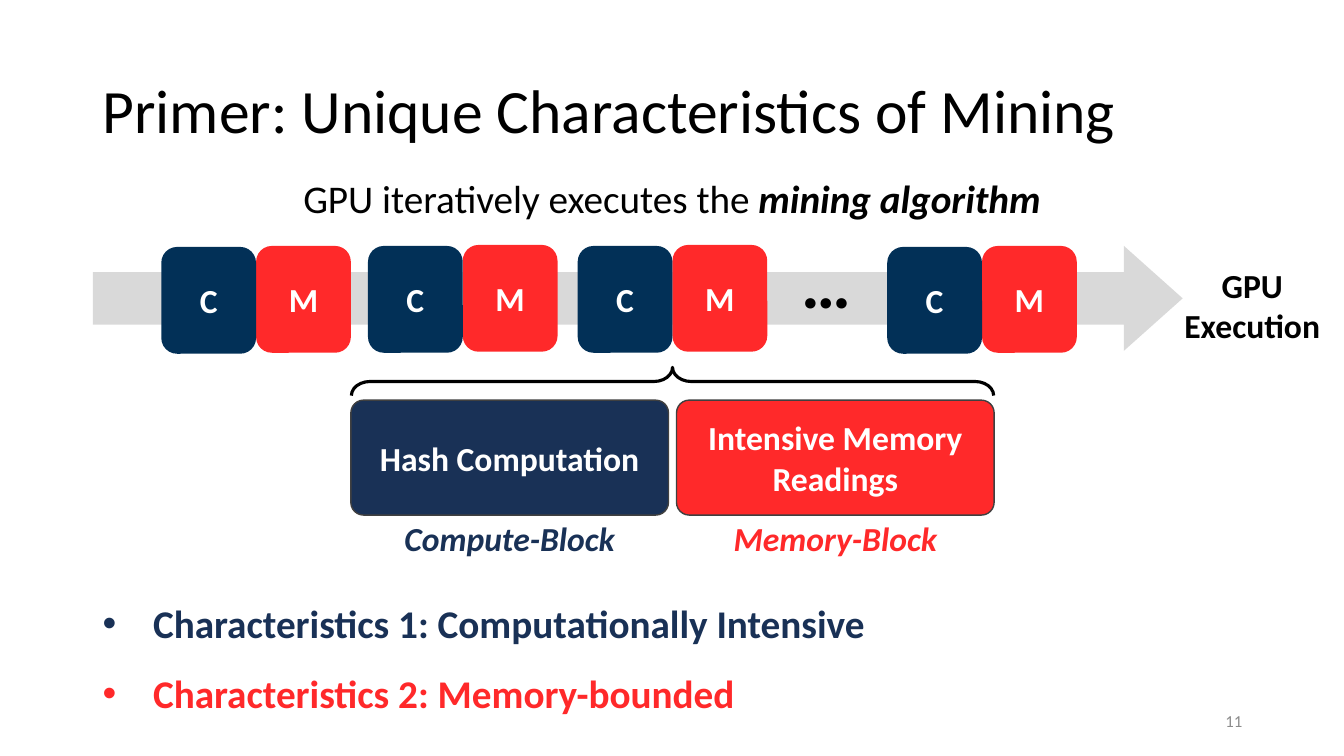
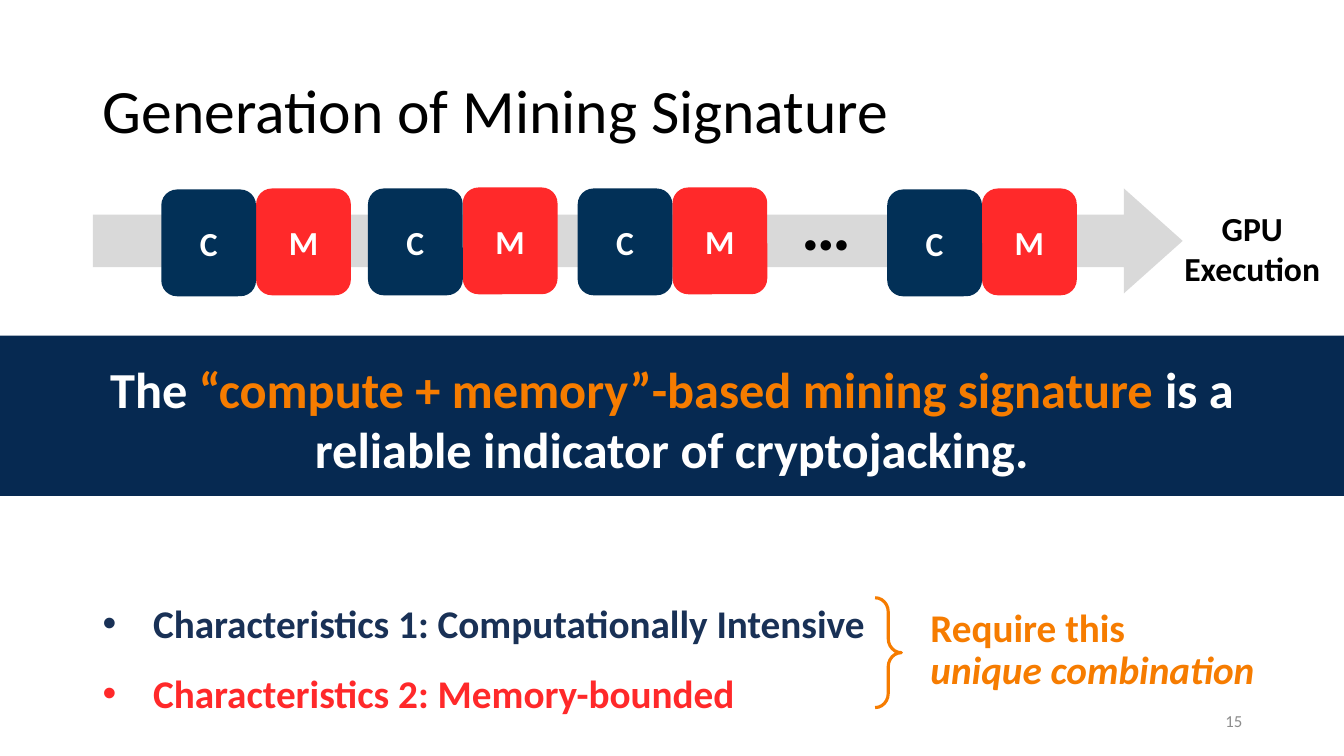
from lxml import etree
from pptx import Presentation
from pptx.dml.color import RGBColor
from pptx.enum.shapes import MSO_SHAPE as Shape
from pptx.enum.text import MSO_ANCHOR as Anchor, PP_ALIGN as Align
from pptx.oxml.ns import qn
from pptx.util import Inches, Pt

WIDE, HIGH = 13.33, 7.5
FONT = "Calibri"
BLACK = RGBColor(0x00, 0x00, 0x00)
WHITE = RGBColor(0xFF, 0xFF, 0xFF)
GREY = RGBColor(0x8C, 0x8C, 0x8C)
PALE = RGBColor(0xD9, 0xD9, 0xD9)
EDGE = RGBColor(0x40, 0x40, 0x40)
NAVY = RGBColor(0x19, 0x31, 0x56)
BLUE = RGBColor(0x02, 0x30, 0x57)
BAND = RGBColor(0x06, 0x29, 0x51)
RED = RGBColor(0xFF, 0x29, 0x2A)
ORANGE = RGBColor(0xF6, 0x7C, 0x00)

# Content: a paragraph is a list of runs (text, colour, style letters)
TRAITS = [
    [("Characteristics 1: Computationally Intensive", NAVY, "b")],
    [("Characteristics 2: Memory-bounded", RED, "b")],
]
LEAD = [[("GPU iteratively executes the ", BLACK, ""),
         ("mining algorithm", BLACK, "bi")]]
PARTS = [
    ("Hash Computation", "Compute-Block", NAVY),
    ("Intensive Memory Readings", "Memory-Block", RED),
]
CLAIM = [[("The ", WHITE, "b"),
          ("“compute + memory”-based mining signature ", ORANGE, "b"),
          ("is a reliable indicator of cryptojacking.", WHITE, "b")]]
NEED = [[("Require this", ORANGE, "b")],
        [("unique combination", ORANGE, "bi")]]

# Layout
LEFT, MAIN = 0.92, 11.5
PAIRS = [(1.6, 0.01), (3.65, 0), (5.73, 0), (8.8, 0.01)]  # left, drop
BLOCK_W, BLOCK_H = 0.94, 1.06
PART_X, PART_W, PART_GAP = 3.48, 3.15, 0.08


def write(frame, paras, size, align=Align.LEFT, anchor=Anchor.TOP,
          space=None, bullet=False):
    frame.word_wrap = True
    frame.vertical_anchor = anchor
    for i, runs in enumerate(paras):
        para = frame.paragraphs[0] if i == 0 else frame.add_paragraph()
        para.alignment = align
        if space:
            para.line_spacing = space
        if bullet:
            props = para._p.get_or_add_pPr()
            props.set("marL", str(Inches(0.5)))
            props.set("indent", str(-Inches(0.5)))
            etree.SubElement(props, qn("a:buFont"), typeface="Arial")
            etree.SubElement(props, qn("a:buChar"), char="•")
        for text, color, style in runs:
            run = para.add_run()
            run.text = text
            font = run.font
            font.name, font.size = FONT, Pt(size)
            font.bold, font.italic = "b" in style, "i" in style
            font.color.rgb = color


def label(slide, box, paras, size, **look):
    area = slide.shapes.add_textbox(*map(Inches, box))
    write(area.text_frame, paras, size, **look)


def draw(slide, kind, box, fill=None, line=None, width=1, adjust=()):
    shape = slide.shapes.add_shape(kind, *map(Inches, box))
    shape.shadow.inherit = False
    if fill is None:
        shape.fill.background()
    else:
        shape.fill.solid()
        shape.fill.fore_color.rgb = fill
    if line is None:
        shape.line.fill.background()
    else:
        shape.line.color.rgb = line
        shape.line.width = Pt(width)
    for i, value in enumerate(adjust):
        shape.adjustments[i] = value
    return shape


def block(slide, box, text, fill, **look):
    shape = draw(slide, Shape.ROUNDED_RECTANGLE, box, fill, **look)
    write(shape.text_frame, [[(text, WHITE, "b")]], 24,
          Align.CENTER, Anchor.MIDDLE)


def strip(slide, top):
    """Arrow of alternating compute and memory blocks."""
    draw(slide, Shape.RIGHT_ARROW, (LEFT, top, 10.81, 1.04), PALE,
         adjust=(0.5, 0.56))
    label(slide, (7.77, top - 0.13, 0.85, 0.94), [[("…", BLACK, "b")]], 50,
          align=Align.CENTER, anchor=Anchor.MIDDLE)
    label(slide, (11.6, top + 0.14, 1.64, 0.91),
          [[("GPU Execution", BLACK, "b")]], 24, align=Align.CENTER)
    for x, drop in PAIRS:
        y = top + drop
        block(slide, (x + BLOCK_W, y - 0.01, BLOCK_W, BLOCK_H), "M", RED)
        block(slide, (x, y, BLOCK_W, BLOCK_H), "C", BLUE)


def start(deck, title, number, top):
    """Slide with the shared title, traits, page number and strip."""
    slide = deck.slides.add_slide(deck.slide_layouts[6])
    label(slide, (LEFT, 0.4, MAIN, 1.45), [[(title, BLACK, "")]], 44,
          anchor=Anchor.MIDDLE, space=0.9)
    label(slide, (LEFT, 5.66, 9.18, 1.44), TRAITS, 28, space=1.5, bullet=True)
    label(slide, (LEFT + MAIN - 3, 6.95, 3, 0.4), [[(number, GREY, "")]], 12,
          align=Align.RIGHT, anchor=Anchor.MIDDLE)
    strip(slide, top)
    return slide


def primer(deck):
    slide = start(deck, "Primer: Unique Characteristics of Mining", "11", 2.44)
    label(slide, (2.15, 1.68, 9.03, 0.57), LEAD, 28, align=Align.CENTER)
    brace = draw(slide, Shape.LEFT_BRACE, (6.53, 0.6, 0.28, 6.37),
                 line=BLACK, width=2.25, adjust=(0.66, 0.5))
    brace.rotation = 90
    for i, (text, name, color) in enumerate(PARTS):
        x = PART_X + i * (PART_W + PART_GAP)
        block(slide, (x, 3.97, PART_W, 1.14), text, color, line=EDGE,
              adjust=(0.11,))
        label(slide, (x, 5.09, PART_W, 0.5), [[(name, color, "bi")]], 24,
              align=Align.CENTER)


def signature(deck):
    slide = start(deck, "Generation of Mining Signature", "15", 1.87)
    draw(slide, Shape.RIGHT_BRACE, (8.68, 5.93, 0.26, 1.09),
         line=ORANGE, width=2.25, adjust=(0.54, 0.5))
    label(slide, (9.13, 5.99, 3.8, 0.94), NEED, 28, space=Pt(30))
    draw(slide, Shape.RECTANGLE, (0, 3.33, WIDE, 1.59), BAND)
    label(slide, (0.64, 3.5, 12.05, 1.31), CLAIM, 36, align=Align.CENTER)


def main():
    deck = Presentation()
    deck.slide_width, deck.slide_height = Inches(WIDE), Inches(HIGH)
    primer(deck)
    signature(deck)
    deck.save("out.pptx")


if __name__ == "__main__":
    main()
